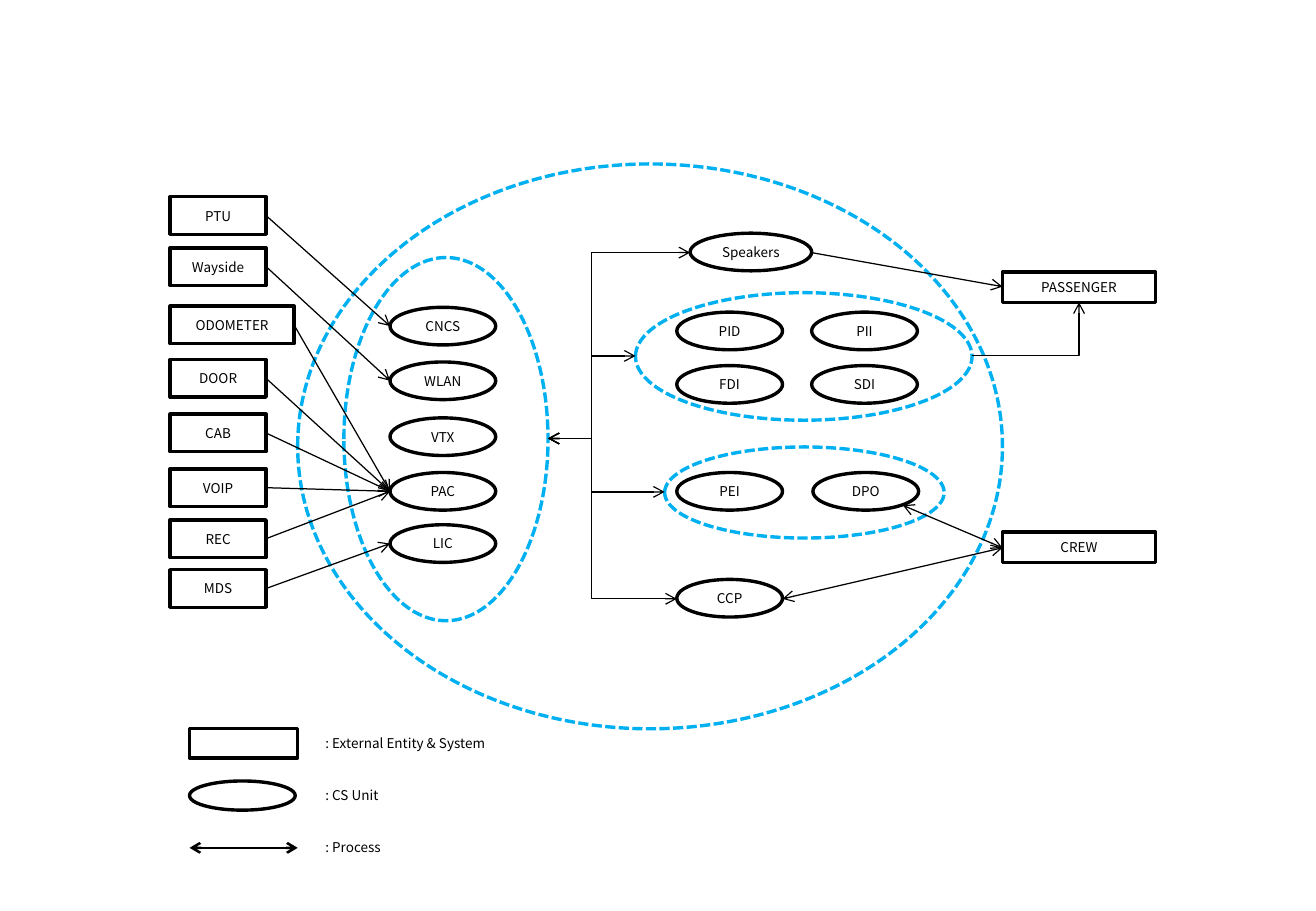
from lxml import etree
from pptx import Presentation
from pptx.dml.color import RGBColor
from pptx.enum.dml import MSO_LINE
from pptx.enum.shapes import MSO_CONNECTOR, MSO_SHAPE
from pptx.enum.text import MSO_ANCHOR, PP_ALIGN
from pptx.oxml.ns import qn
from pptx.util import Inches, Pt

RECT, OVAL = MSO_SHAPE.RECTANGLE, MSO_SHAPE.OVAL
LINE, ELBOW = MSO_CONNECTOR.STRAIGHT, MSO_CONNECTOR.ELBOW
DASH = MSO_LINE.SQUARE_DOT
CENTER, MIDDLE = PP_ALIGN.CENTER, MSO_ANCHOR.MIDDLE
BLACK = RGBColor(0x00, 0x00, 0x00)
BLUE = RGBColor(0x00, 0xB0, 0xF0)
FONT = "Noto Sans CJK KR"

UNIT_W, BOX_W, HIGH = 0.87, 0.79, 0.31
EXT_X, CORE_X = 1.4, 3.21
HUB = (4.51, 3.61)
TRUNK = 4.87

# name, top, width, target unit
SYSTEMS = [
    ("PTU", 1.62, BOX_W, "CNCS"),
    ("Wayside", 2.04, BOX_W, "WLAN"),
    ("ODOMETER", 2.52, 1.02, "PAC"),
    ("DOOR", 2.96, BOX_W, "PAC"),
    ("CAB", 3.41, BOX_W, "PAC"),
    ("VOIP", 3.86, BOX_W, "PAC"),
    ("REC", 4.28, BOX_W, "PAC"),
    ("MDS", 4.69, BOX_W, "LIC"),
]
CORE = {"CNCS": 2.53, "WLAN": 2.98, "VTX": 3.44, "PAC": 3.89, "LIC": 4.32}
UNITS = [
    ("PID", 5.57, 2.57), ("PII", 6.68, 2.57),
    ("FDI", 5.57, 3.01), ("SDI", 6.68, 3.01),
    ("PEI", 5.57, 3.89), ("DPO", 6.69, 3.89),
    ("CCP", 5.57, 4.77),
]
ZONES = [
    (2.83, 2.12, 1.68, 2.99),
    (5.47, 3.68, 2.3, 0.75),
    (5.23, 2.41, 2.77, 1.05),
    (2.45, 1.35, 5.8, 4.65),
]
PEOPLE = [("PASSENGER", 2.24), ("CREW", 4.38)]
BRANCHES = [(5.68, 2.08), (5.23, 2.93), (5.47, 4.05), (5.57, 4.93)]
CREW = (8.25, 4.51)
LEGEND = [": External Entity & System", ": CS Unit", ": Process"]
KEY_X, KEY_Y, KEY_W, KEY_H, KEY_STEP = 1.56, 6, 0.89, 0.24, 0.43


class Chart:
    """Draws boxes, arrows and labels in one style on one slide."""

    def __init__(self, slide):
        self.shapes = slide.shapes

    def add_text(self, para, text):
        run = para.add_run()
        run.text = text
        run.font.name = FONT
        run.font.size = Pt(8)
        run.font.color.rgb = BLACK

    def box(self, kind, x, y, w, h, text="", color=BLACK, dash=None):
        shape = self.shapes.add_shape(kind, Inches(x), Inches(y), Inches(w), Inches(h))
        shape.shadow.inherit = False
        shape.fill.background()
        shape.line.color.rgb = color
        shape.line.width = Pt(2)
        if dash:
            shape.line.dash_style = dash
        if text:
            frame = shape.text_frame
            frame.word_wrap = False
            frame.vertical_anchor = MIDDLE
            frame.margin_left = frame.margin_right = 0
            frame.margin_top = frame.margin_bottom = 0
            para = frame.paragraphs[0]
            para.alignment = CENTER
            self.add_text(para, text)

    def label(self, x, y, w, h, text):
        area = self.shapes.add_textbox(Inches(x), Inches(y), Inches(w), Inches(h))
        area.text_frame.word_wrap = True
        self.add_text(area.text_frame.paragraphs[0], text)

    def arrow(self, start, end, kind=LINE, both=False, width=0.75):
        """Draw a connector and return its geometry element."""
        ends = [Inches(n) for n in (*start, *end)]
        link = self.shapes.add_connector(kind, *ends)
        link.line.color.rgb = BLACK
        link.line.width = Pt(width)
        props = link._element.spPr
        stroke = props.find(qn("a:ln"))
        for tag in ("a:headEnd", "a:tailEnd") if both else ("a:tailEnd",):
            etree.SubElement(stroke, qn(tag), type="arrow")
        etree.SubElement(props, qn("a:effectLst"))
        return props.find(qn("a:prstGeom"))

    def branch(self, start, end, turn):
        """Two-headed elbow whose upright part stands at x = turn."""
        geom = self.arrow(start, end, ELBOW, both=True)
        ratio = round((turn - start[0]) / (end[0] - start[0]) * 100000)
        guides = geom.find(qn("a:avLst"))
        etree.SubElement(guides, qn("a:gd"), name="adj1", fmla=f"val {ratio}")

    def corner(self, start, end):
        """Elbow with a single turn, level part first."""
        self.arrow(start, end, ELBOW).set("prst", "bentConnector2")


def main():
    deck = Presentation()
    deck.slide_width, deck.slide_height = Inches(10.83), Inches(7.5)
    chart = Chart(deck.slides.add_slide(deck.slide_layouts[6]))

    for zone in ZONES:
        chart.box(OVAL, *zone, color=BLUE, dash=DASH)

    for name, y in CORE.items():
        chart.box(OVAL, CORE_X, y, UNIT_W, HIGH, name)
    chart.box(OVAL, 5.68, 1.92, 1, HIGH, "Speakers")
    for name, x, y in UNITS:
        chart.box(OVAL, x, y, UNIT_W, HIGH, name)
    for name, y in PEOPLE:
        chart.box(RECT, 8.25, y, 1.26, 0.25, name)

    for name, y, w, goal in SYSTEMS:
        chart.box(RECT, EXT_X, y, w, HIGH, name)
        chart.arrow((EXT_X + w, y + HIGH / 2), (CORE_X, CORE[goal] + HIGH / 2))

    for end in BRANCHES:
        chart.branch(HUB, end, TRUNK)
    chart.arrow((6.68, 2.08), (8.25, 2.36))
    chart.corner((8, 2.93), (8.88, 2.49))
    for start in ((7.43, 4.16), (6.44, 4.93)):
        chart.arrow(start, CREW, both=True)

    chart.box(RECT, KEY_X, KEY_Y, KEY_W, KEY_H)
    chart.box(OVAL, KEY_X, KEY_Y + KEY_STEP, UNIT_W, KEY_H)
    mid = KEY_Y + 2 * KEY_STEP + KEY_H / 2
    chart.arrow((KEY_X, mid), (KEY_X + KEY_W, mid), both=True, width=1.5)
    for i, text in enumerate(LEGEND):
        chart.label(2.58, KEY_Y + i * KEY_STEP, 1.73, KEY_H, text)

    deck.save("out.pptx")


if __name__ == "__main__":
    main()
